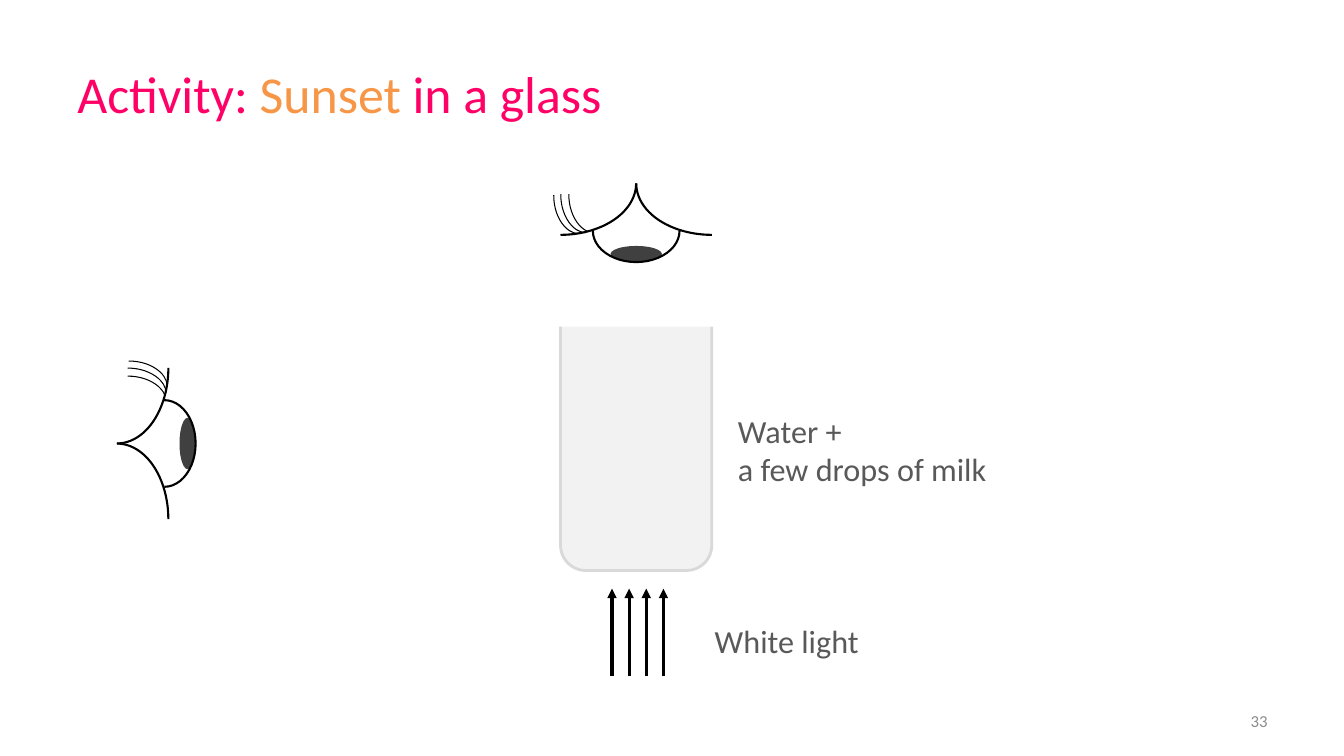
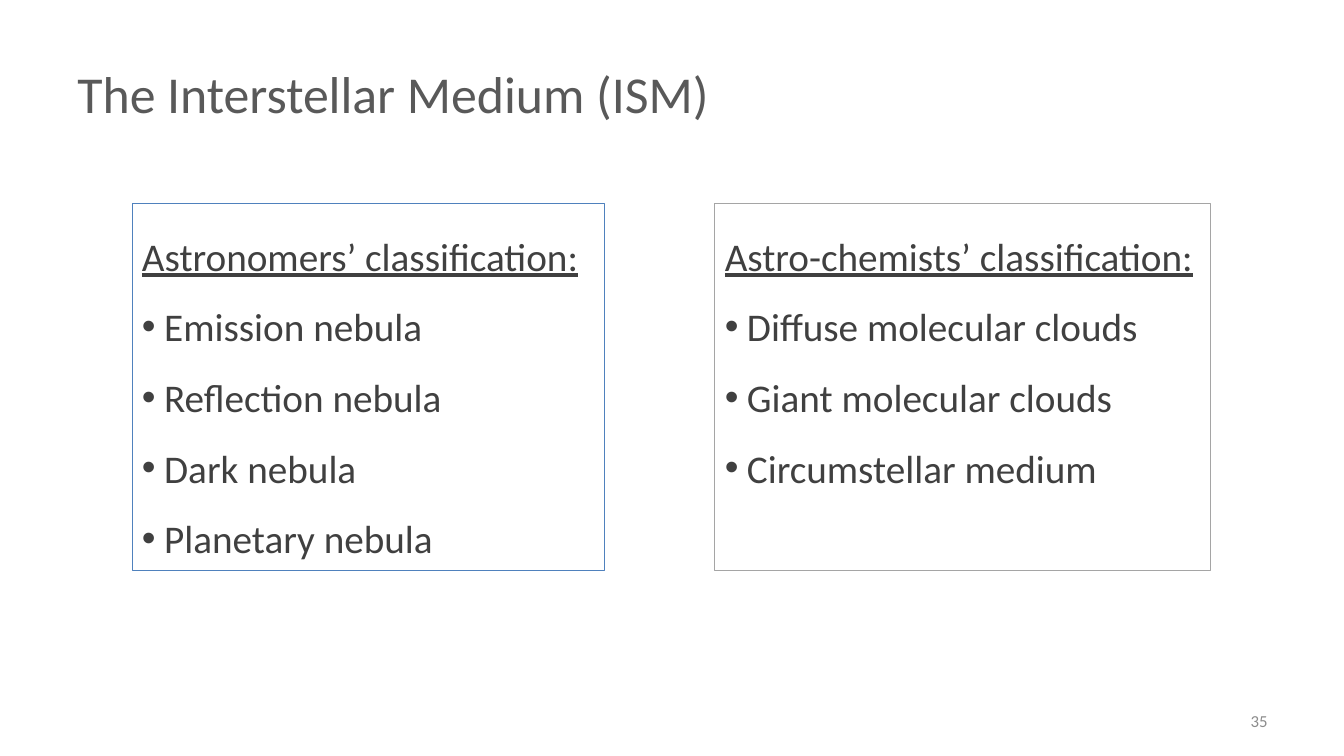
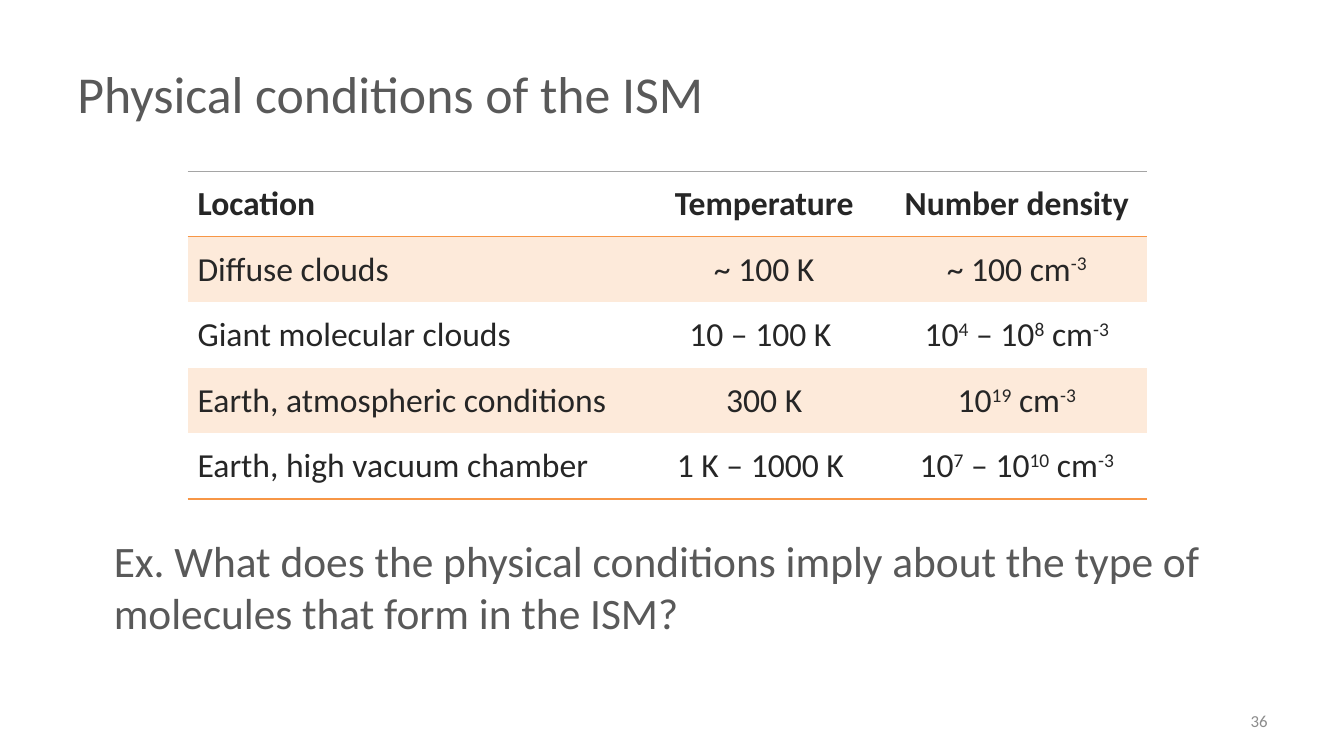
from dataclasses import dataclass

from lxml.etree import SubElement
from pptx import Presentation
from pptx.dml.color import RGBColor
from pptx.enum.shapes import MSO_CONNECTOR, MSO_SHAPE
from pptx.enum.text import MSO_ANCHOR, PP_ALIGN
from pptx.oxml.ns import qn
from pptx.util import Inches, Pt


@dataclass(frozen=True)
class Theme:
    font: str = "Calibri"
    # Colours
    pink: str = "FF0066"
    orange: str = "F79646"
    peach: str = "FDEADA"
    blue: str = "4F81BD"
    silver: str = "A5A5A5"
    body: str = "595959"
    dark: str = "404040"
    cell: str = "262626"
    number: str = "8C8C8C"
    glass: str = "F2F2F2"
    rim: str = "D9D9D9"
    black: str = "000000"
    white: str = "FFFFFF"
    # Type sizes
    title_pt: int = 37
    question_pt: int = 31
    list_pt: int = 28
    table_pt: int = 24
    label_pt: int = 23
    number_pt: int = 12


T = Theme()


def rgb(value):
    return RGBColor.from_string(value)


# Text
def add_run(p, text, size, color, bold=False, underline=False, raised=False):
    r = p.add_run()
    r.text = text
    f = r.font
    f.name, f.size, f.bold, f.underline = T.font, Pt(size), bold, underline
    f.color.rgb = rgb(color)
    if raised:
        r._r.get_or_add_rPr().set("baseline", "30000")


def next_paragraph(tf, i):
    return tf.paragraphs[0] if i == 0 else tf.add_paragraph()


def add_text(s, box, lines, size, anchor=MSO_ANCHOR.TOP, align=PP_ALIGN.LEFT):
    """Each line is a list of (text, colour) runs."""
    tf = s.shapes.add_textbox(*map(Inches, box)).text_frame
    tf.word_wrap = True
    tf.vertical_anchor = anchor
    for i, runs in enumerate(lines):
        p = next_paragraph(tf, i)
        p.alignment = align
        for text, color in runs:
            add_run(p, text, size, color)


def add_slide(prs, title, number):
    """Blank slide with the shared title and slide number."""
    s = prs.slides.add_slide(prs.slide_layouts[6])
    add_text(s, (0.67, 0.3, 12, 1.25), [title], T.title_pt, MSO_ANCHOR.MIDDLE)
    add_text(s, (9.56, 6.95, 3.11, 0.4), [[(number, T.number)]], T.number_pt,
             MSO_ANCHOR.MIDDLE, PP_ALIGN.RIGHT)
    return s


# Shapes
def add_figure(s, kind, box, fill=None, line=None, width=1):
    sp = s.shapes.add_shape(kind, *map(Inches, box))
    sp.shadow.inherit = False
    if fill:
        sp.fill.solid()
        sp.fill.fore_color.rgb = rgb(fill)
    else:
        sp.fill.background()
    if line:
        sp.line.color.rgb = rgb(line)
        sp.line.width = Pt(width)
    else:
        sp.line.fill.background()
    return sp


def add_up_arrow(s, x, bottom, top):
    c = s.shapes.add_connector(MSO_CONNECTOR.STRAIGHT, Inches(x),
                               Inches(bottom), Inches(x), Inches(top))
    c.line.color.rgb = rgb(T.black)
    c.line.width = Pt(2.25)
    SubElement(c.line._get_or_add_ln(), qn("a:tailEnd"), type="triangle")
    SubElement(c._element.spPr, qn("a:effectLst"))


# Eye parts: centre offset, size, rotation, flip, arc ends, line width
QUARTER = (162, 0)
LID, LASH = (1.5, 1.02), (0.43, 0.66)
EYE_ARCS = [
    ((0, 0), (0.86, 0.62), 180, True, (107.53, 0), 1.5),
    ((-0.6, -0.3), LASH, 171.1, False, (164.72, 13.66), 0.75),
    ((-0.53, -0.31), LASH, 171.1, False, (164.72, 13.66), 0.75),
    ((-0.45, -0.31), LASH, 171.1, False, (170.12, 13.66), 0.75),
    ((0.75, -0.47), LID, 180, False, QUARTER, 1.5),
    ((-0.75, -0.47), LID, 180, True, QUARTER, 1.5),
]


def add_eye(s, cx, cy, looks_right=False):
    """Eye looking down; looking right is its mirror across the diagonal."""
    def place(kind, offset, size, turn, **look):
        dx, dy = reversed(offset) if looks_right else offset
        w, h = size
        sp = add_figure(s, kind, (cx + dx - w / 2, cy + dy - h / 2, w, h), **look)
        sp.rotation = 270 - turn if looks_right else turn
        return sp

    place(MSO_SHAPE.OVAL, (0, 0.23), (0.51, 0.16), 180, fill=T.dark)
    for offset, size, turn, flip, ends, width in EYE_ARCS:
        arc = place(MSO_SHAPE.ARC, offset, size, turn, line=T.black, width=width)
        arc.adjustments[0], arc.adjustments[1] = ends
        if flip != looks_right:
            arc._element.spPr.xfrm.set("flipH", "1")


# Outlined list with an underlined heading
def add_list_panel(s, box, line, heading, items):
    tf = add_figure(s, MSO_SHAPE.RECTANGLE, box, line=line, width=0.75).text_frame
    tf.word_wrap = True
    tf.vertical_anchor = MSO_ANCHOR.TOP
    for i, text in enumerate([heading] + items):
        p = next_paragraph(tf, i)
        p.alignment = PP_ALIGN.LEFT
        p.line_spacing = 1.5
        if i:
            pPr = p._p.get_or_add_pPr()
            indent = Inches(0.22)
            pPr.set("marL", str(indent))
            pPr.set("indent", str(-indent))
            SubElement(pPr, qn("a:buFont"), typeface="Arial")
            SubElement(pPr, qn("a:buChar"), char="•")
        add_run(p, text, T.list_pt, T.dark, underline=i == 0)


# Table
def set_border(cell, side, color):
    ln = SubElement(cell._tc.get_or_add_tcPr(), qn("a:" + side), w=str(Pt(1)))
    SubElement(SubElement(ln, qn("a:solidFill")), qn("a:srgbClr"), val=color)


def add_banded_table(s, left, top, widths, row_height, rows):
    """Text between carets is set as superscript."""
    frame = s.shapes.add_table(len(rows), len(widths), Inches(left), Inches(top),
                               Inches(sum(widths)), Inches(row_height * len(rows)))
    table = frame.table
    table.first_row = table.horz_banding = False
    # "No Style, No Grid"
    table._tbl.tblPr.find(qn("a:tableStyleId")).text = \
        "{2D5ABB26-0587-4C30-8999-92F81FD0307C}"
    for col, width in zip(table.columns, widths):
        col.width = Inches(width)
    for i, row in enumerate(rows):
        table.rows[i].height = Inches(row_height)
        for j, text in enumerate(row):
            cell = table.cell(i, j)
            cell.vertical_anchor = MSO_ANCHOR.MIDDLE
            if i == 0:
                set_border(cell, "lnT", T.silver)
            if i in (0, len(rows) - 1):
                set_border(cell, "lnB", T.orange)
            if i % 2:
                cell.fill.solid()
                cell.fill.fore_color.rgb = rgb(T.peach)
            else:
                cell.fill.background()
            p = cell.text_frame.paragraphs[0]
            p.alignment = PP_ALIGN.CENTER if j else PP_ALIGN.LEFT
            for k, part in enumerate(text.split("^")):
                if part:
                    add_run(p, part, T.table_pt, T.cell, bold=i == 0,
                            raised=k % 2 == 1)


# Slides
def sunset_slide(prs):
    s = add_slide(prs, [("Activity: ", T.pink), ("Sunset ", T.orange),
                        ("in a glass", T.pink)], "33")
    add_text(s, (7.22, 4.03, 2.83, 0.88),
             [[("Water +", T.body)], [("a few drops of milk", T.body)]], T.label_pt)
    add_text(s, (6.99, 6.11, 2.09, 0.49), [[("White light", T.body)]], T.label_pt)
    # Glass, with a white cover that opens its top
    add_figure(s, MSO_SHAPE.ROUNDED_RECTANGLE, (5.56, 2.9, 1.5, 2.76),
               T.glass, T.rim, 2)
    add_figure(s, MSO_SHAPE.ROUNDED_RECTANGLE, (5.17, 2.75, 2.28, 0.49), T.white)
    for i in range(4):
        add_up_arrow(s, 6.07 + 0.17 * i, 6.71, 5.84)
    add_eye(s, 6.31, 2.29)
    add_eye(s, 1.63, 4.4, looks_right=True)


def medium_slide(prs):
    s = add_slide(prs, [("The Interstellar Medium (ISM)", T.body)], "35")
    add_list_panel(s, (7.09, 2.02, 4.92, 3.64), T.silver,
                   "Astro-chemists’ classification:",
                   ["Diffuse molecular clouds", "Giant molecular clouds",
                    "Circumstellar medium"])
    add_list_panel(s, (1.31, 2.02, 4.69, 3.64), T.blue,
                   "Astronomers’ classification:",
                   ["Emission nebula", "Reflection nebula", "Dark nebula",
                    "Planetary nebula"])


def conditions_slide(prs):
    s = add_slide(prs, [("Physical conditions of the ISM", T.body)], "36")
    add_text(s, (1.03, 5.25, 11.28, 1.14),
             [[("Ex. What does the physical conditions imply about the type of "
                "molecules that form in the ISM?", T.body)]], T.question_pt)
    add_banded_table(s, 1.86, 1.7, (4.51, 2.42, 2.59), 0.65, [
        ("Location", "Temperature", "Number density"),
        ("Diffuse clouds", "~ 100 K", "~ 100 cm^-3^"),
        ("Giant molecular clouds", "10 – 100 K ", "10^4^ – 10^8^ cm^-3^"),
        ("Earth, atmospheric conditions", "300 K", "10^19^ cm^-3^"),
        ("Earth, high vacuum chamber", "1 K – 1000 K ", "10^7^ – 10^10^ cm^-3^"),
    ])


def main():
    prs = Presentation()
    prs.slide_width, prs.slide_height = Inches(13.33), Inches(7.5)
    sunset_slide(prs)
    medium_slide(prs)
    conditions_slide(prs)
    prs.save("out.pptx")


if __name__ == "__main__":
    main()
